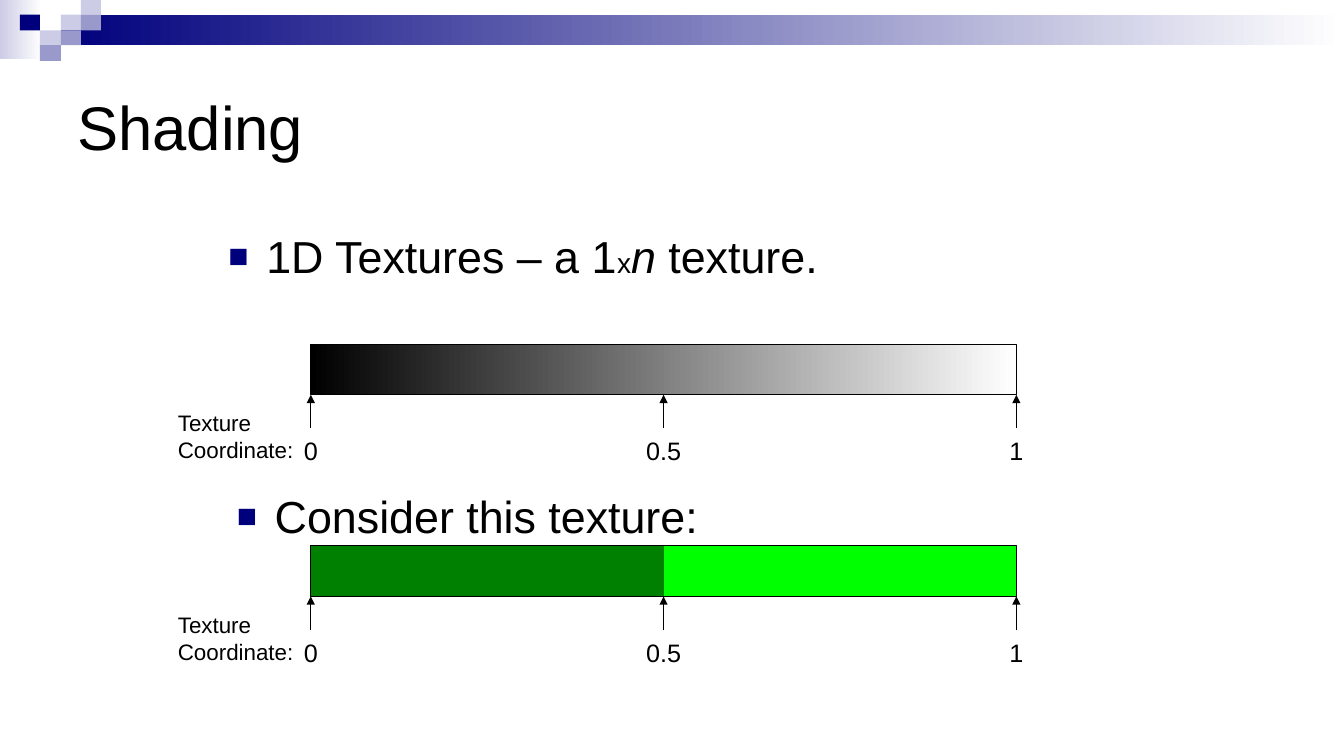
"""Build the slide on shading with one-dimensional textures."""
import pptx
import pptx.dml.color
import pptx.enum.shapes
import pptx.enum.text
import pptx.oxml
import pptx.oxml.ns
import pptx.util

COLORS = {
    "navy": "00007D", "mid": "9999CC", "pale": "CCCCE6",
    "black": "000000", "white": "FFFFFF",
    "dark_green": "008000", "green": "00FF00",
}
SHAPE = pptx.enum.shapes.MSO_SHAPE
ALIGN = pptx.enum.text.PP_ALIGN
ANCHOR = pptx.enum.text.MSO_ANCHOR
NS = pptx.oxml.ns.nsdecls("a")


def px(n):
    return pptx.util.Emu(n * 9525)


def rgb(name):
    return pptx.dml.color.RGBColor.from_string(COLORS[name])


class Deck:
    """Hold the style and the current slide, and draw each kind of element."""

    font = "Arial"

    def __init__(self, prs, layout):
        self.slide = prs.slides.add_slide(prs.slide_layouts[layout])
        self.shapes = self.slide.shapes

    def format_run(self, r, size, italic=False):
        r.font.name = self.font
        r.font.size = pptx.util.Pt(size)
        r.font.italic = italic
        r.font.color.rgb = rgb("black")

    def placeholder(self, idx, box, anchor):
        sp = self.slide.placeholders[idx]
        sp.left, sp.top, sp.width, sp.height = map(px, box)
        tf = sp.text_frame
        tf.auto_size = pptx.enum.text.MSO_AUTO_SIZE.NONE
        tf.word_wrap = True
        tf.vertical_anchor = anchor
        p = tf.paragraphs[0]
        p.alignment = ALIGN.LEFT
        return p

    def title(self, text, box):
        p = self.placeholder(0, box, ANCHOR.MIDDLE)
        p.text = text
        self.format_run(p.runs[0], 44)

    def bullet(self, idx, parts, box):
        p = self.placeholder(idx, box, ANCHOR.TOP)
        pPr = p._p.get_or_add_pPr()
        pPr.set("marL", str(px(36)))
        pPr.set("indent", str(px(-36)))
        for xml in (
            f'<a:buClr {NS}><a:srgbClr val="{COLORS["navy"]}"/></a:buClr>',
            f'<a:buSzPct {NS} val="75000"/>',
            f'<a:buFont {NS} typeface="{self.font}"/>',
            f'<a:buChar {NS} char="■"/>',
        ):
            pPr.append(pptx.oxml.parse_xml(xml))
        p.space_before = pptx.util.Pt(0)
        for text, size, italic in parts:
            r = p.add_run()
            r.text = text
            self.format_run(r, size, italic)

    def label(self, text, box, size, align=ALIGN.LEFT):
        tf = self.shapes.add_textbox(*map(px, box)).text_frame
        tf.word_wrap = True
        tf.text = text
        p = tf.paragraphs[0]
        p.alignment = align
        self.format_run(p.runs[0], size)

    def rect(self, box, fill=(), outline=False, kind=SHAPE.RECTANGLE):
        sp = self.shapes.add_shape(kind, *map(px, box))
        sp.shadow.inherit = False
        if len(fill) == 2:
            sp.fill.gradient()
            sp.fill.gradient_angle = 0
            for stop, name in zip(sp.fill.gradient_stops, fill):
                stop.color.rgb = rgb(name)
        elif fill:
            sp.fill.solid()
            sp.fill.fore_color.rgb = rgb(fill[0])
        else:
            sp.fill.background()
        if outline:
            sp.line.color.rgb = rgb("black")
            sp.line.width = pptx.util.Pt(0.75)
        else:
            sp.line.fill.background()

    def arrow(self, x, y_from, y_to):
        line = self.shapes.add_connector(
            pptx.enum.shapes.MSO_CONNECTOR.STRAIGHT,
            px(x), px(y_from), px(x), px(y_to))
        line.line.color.rgb = rgb("black")
        line.line.width = pptx.util.Pt(0.75)
        line.line._get_or_add_ln().append(
            pptx.oxml.parse_xml(f'<a:tailEnd {NS} type="triangle"/>'))
        line._element.spPr.append(pptx.oxml.parse_xml(f"<a:effectLst {NS}/>"))

    def banner(self):
        self.rect((0, 0, 40, 56), ("pale", "white"))
        self.rect((58, 14, 1222, 29), ("navy", "white"))
        tiles = ((3, 1, "pale"), (4, 0, "pale"), (4, 1, "mid"), (2, 2, "pale"),
                 (1, 1, "navy"), (3, 2, "mid"), (2, 3, "mid"))
        for col, row, color in tiles:
            left, right = (round(19.2 * c) for c in (col, col + 1))
            top, bottom = (round(14.4 * r) for r in (row, row + 1))
            self.rect((left, top, right - left, bottom - top), (color,))

    def texture(self, top, fills):
        left, width, height = 296, 672, 48
        part = width // len(fills)
        for i, fill in enumerate(fills):
            self.rect((left + i * part, top, part, height), fill,
                      kind=SHAPE.FLOWCHART_PROCESS)
        self.rect((left, top, width, height), outline=True,
                  kind=SHAPE.FLOWCHART_PROCESS)
        self.label("Texture Coordinate:", (160, top + 57, 144, 61), 16)
        for i, value in enumerate(("0", "0.5", "1")):
            x = left + i * width // 2
            self.arrow(x, top + 80, top + height)
            self.label(value, (x - 40, top + 82, 80, 38), 18, ALIGN.CENTER)


def main():
    prs = pptx.Presentation()
    prs.slide_width, prs.slide_height = px(1280), px(720)
    deck = Deck(prs, 3)
    deck.banner()
    deck.title("Shading", (64, 48, 1152, 144))
    deck.bullet(1, (("1D Textures – a 1", 32, False), ("x", 20, False),
                    ("n", 32, True), (" texture.", 32, False)),
                (208, 213, 864, 100))
    deck.texture(328, (("black", "white"),))
    deck.bullet(2, (("Consider this texture:", 32, False),),
                (216, 461, 864, 59))
    deck.texture(520, (("dark_green",), ("green",)))
    prs.save("out.pptx")


if __name__ == "__main__":
    main()
